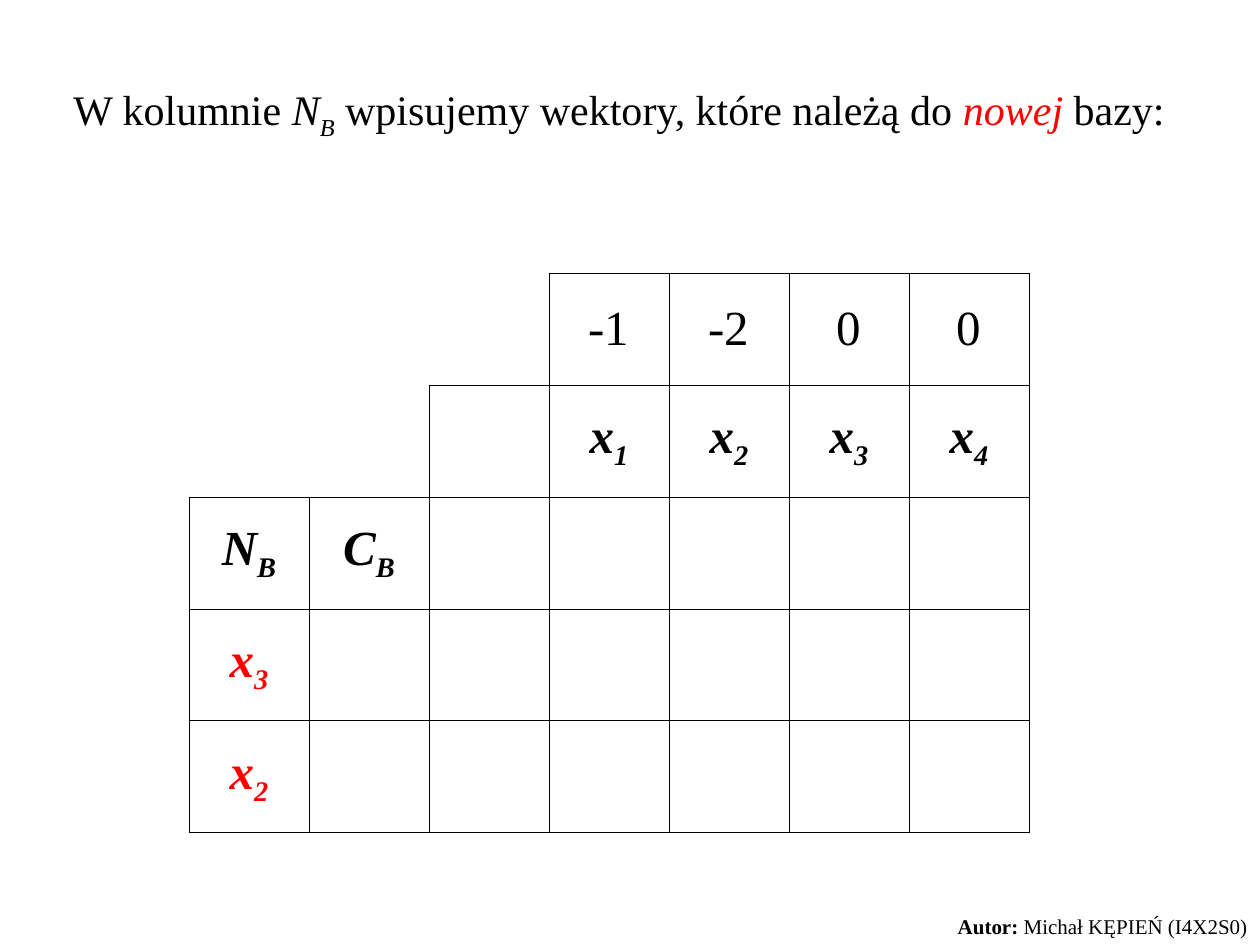
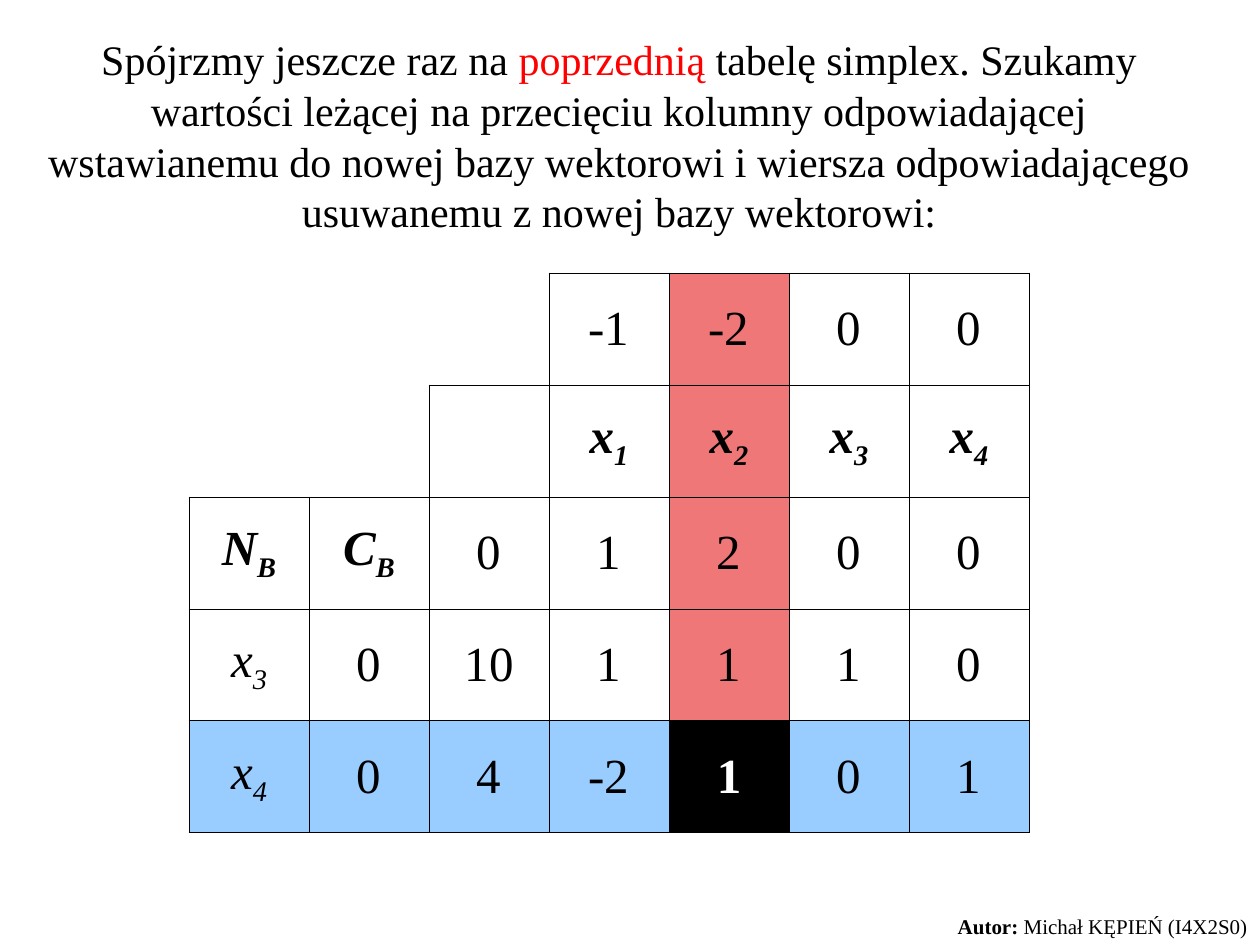
import pptx
import pptx.dml.color
import pptx.enum.text
import pptx.oxml.ns
import pptx.util
from lxml import etree

RGBColor = pptx.dml.color.RGBColor
PP_ALIGN = pptx.enum.text.PP_ALIGN
MSO_ANCHOR = pptx.enum.text.MSO_ANCHOR
Pt = pptx.util.Pt
qn = pptx.oxml.ns.qn

BLACK = RGBColor(0x00, 0x00, 0x00)
WHITE = RGBColor(0xFF, 0xFF, 0xFF)
RED = RGBColor(0xFF, 0x00, 0x00)
ENTERING_COLUMN = RGBColor(0xEF, 0x77, 0x77)
LEAVING_ROW = RGBColor(0x99, 0xCC, 0xFF)
FONT = "Times New Roman"
PX = 914400 / 126
COLUMN_WIDTH, ROW_HEIGHT = 120, 112
FIRST_FRAMED = (3, 2, 0, 0, 0)  # first bordered column of each row
ROWS, COLUMNS = len(FIRST_FRAMED), 7
EDGES = {"a:lnL": (0, -1), "a:lnR": (0, 1), "a:lnT": (-1, 0), "a:lnB": (1, 0)}


def px(*lengths):
    return [pptx.util.Emu(round(length * PX)) for length in lengths]


def write(para, size, spans, color=BLACK, bold=False, italic=False):
    """Fill para with (text, marks) spans; marks: b bold, i italic, r red, s subscript."""
    font = para.font
    font.name, font.size, font.bold, font.italic = FONT, Pt(size), bold, italic
    font.color.rgb = color
    for text, marks in spans:
        span = para.add_run()
        span.text = text
        if "b" in marks:
            span.font.bold = True
        if "i" in marks:
            span.font.italic = True
        if "r" in marks:
            span.font.color.rgb = RED
        if "s" in marks:
            span.font._element.set("baseline", "-25000")


HEADER_ROWS = [
    ["", "", "", "-1", "-2", "0", "0"],
    ["", "", "", "x_1", "x_2", "x_3", "x_4"],
]
EMPTY_VALUES = [""] * 5
PAGES = [
    {
        "title_top": 84, "title_height": 70,
        "title": [("W kolumnie ", ""), ("N", "i"), ("B", "is"),
                  (" wpisujemy wektory, które należą do ", ""),
                  ("nowej", "ir"), (" bazy:", "")],
        "body": [["N_B", "C_B", *EMPTY_VALUES],
                 ["x_3", "", *EMPTY_VALUES],
                 ["x_2", "", *EMPTY_VALUES]],
        "new_basis": True, "pivot": None,
    },
    {
        "title_top": 27, "title_height": 214,
        "title": [("Spójrzmy jeszcze raz na ", ""), ("poprzednią", "r"),
                  (" tabelę simplex. Szukamy wartości leżącej na przecięciu kolumny "
                   "odpowiadającej wstawianemu do nowej bazy wektorowi i wiersza "
                   "odpowiadającego usuwanemu z nowej bazy wektorowi:", "")],
        "body": [["N_B", "C_B", "0", "1", "2", "0", "0"],
                 ["x_3", "0", "10", "1", "1", "1", "0"],
                 ["x_4", "0", "4", "-2", "1", "0", "1"]],
        "new_basis": False, "pivot": (4, 4),
    },
]
framed = {(row, column) for row in range(ROWS)
          for column in range(FIRST_FRAMED[row], COLUMNS)}

deck = pptx.Presentation()
deck.slide_width, deck.slide_height = px(1260, 945)

for content in PAGES:
    page = deck.slides.add_slide(deck.slide_layouts[5])

    title = page.shapes.title
    title.left, title.top, title.width, title.height = px(
        31, content["title_top"], 1176, content["title_height"])
    title.text_frame.auto_size = pptx.enum.text.MSO_AUTO_SIZE.NONE
    title.text_frame.vertical_anchor = MSO_ANCHOR.TOP
    para = title.text_frame.paragraphs[0]
    para.alignment = PP_ALIGN.CENTER
    para.line_spacing = Pt(29)
    write(para, 24, content["title"])

    table = page.shapes.add_table(
        ROWS, COLUMNS,
        *px(189, 273, COLUMNS * COLUMN_WIDTH, ROWS * ROW_HEIGHT)).table
    table.first_row = table.horz_banding = False
    for column in table.columns:
        column.width = px(COLUMN_WIDTH)[0]
    for row in table.rows:
        row.height = px(ROW_HEIGHT)[0]

    for row, texts in enumerate(HEADER_ROWS + content["body"]):
        for column, text in enumerate(texts):
            cell = table.cell(row, column)
            cell.vertical_anchor = MSO_ANCHOR.MIDDLE
            properties = cell._tc.get_or_add_tcPr()
            for edge, (down, right) in EDGES.items():
                line = etree.SubElement(properties, qn(edge), w=str(Pt(0.45)))
                if {(row, column), (row + down, column + right)} & framed:
                    ink = etree.SubElement(line, qn("a:solidFill"))
                    etree.SubElement(ink, qn("a:srgbClr"), val=str(BLACK))
                else:
                    etree.SubElement(line, qn("a:noFill"))

            pivot = content["pivot"]
            is_pivot = (row, column) == pivot
            if is_pivot:
                fill = BLACK
            elif pivot and row == pivot[0]:
                fill = LEAVING_ROW
            elif pivot and column == pivot[1]:
                fill = ENTERING_COLUMN
            else:
                fill = None
            if fill is None:
                cell.fill.background()
            else:
                cell.fill.solid()
                cell.fill.fore_color.rgb = fill

            if not text:
                continue
            symbol, _, index = text.partition("_")
            spans = [(symbol, "")] + ([(index, "s")] if index else [])
            in_new_basis = content["new_basis"] and row > 2
            color = WHITE if is_pivot else RED if in_new_basis else BLACK
            bold = is_pivot or in_new_basis or (bool(index) and row <= 2)
            para = cell.text_frame.paragraphs[0]
            para.alignment = PP_ALIGN.CENTER
            write(para, 28, spans, color, bold, italic=bool(index))

    footer = page.shapes.add_textbox(*px(924, 907, 336, 38))
    footer.text_frame.word_wrap = True
    para = footer.text_frame.paragraphs[0]
    para.alignment = PP_ALIGN.RIGHT
    write(para, 12, [("Autor:", "b"), (" Michał KĘPIEŃ (I4X2S0)", "")])

deck.save("out.pptx")
